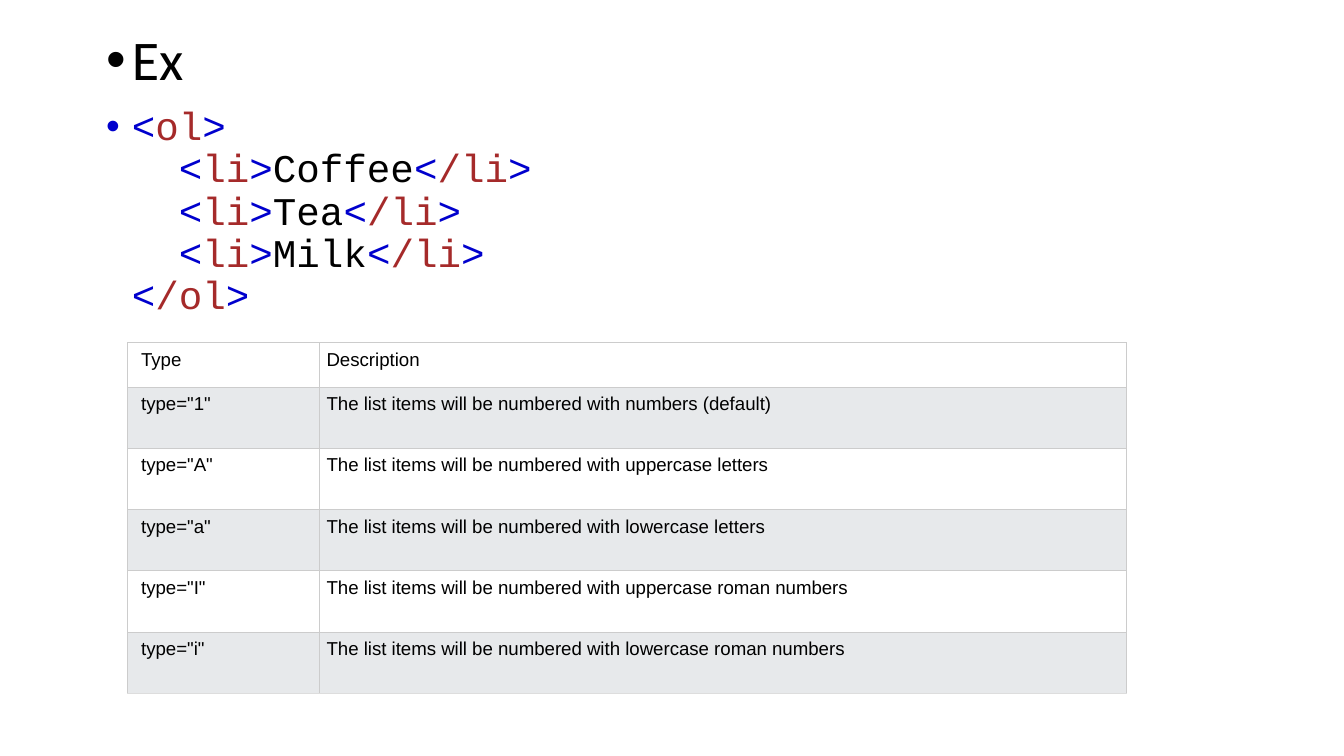
from lxml.etree import SubElement
from pptx import Presentation
from pptx.dml.color import RGBColor as RGB
from pptx.enum.text import MSO_AUTO_SIZE
from pptx.oxml.ns import qn
from pptx.util import Inches, Pt

BLACK, WHITE = RGB(0, 0, 0), RGB(255, 255, 255)
BLUE, BROWN = RGB(0x00, 0x00, 0xCD), RGB(0xA5, 0x2A, 0x2A)
BAND = RGB(0xE7, 0xE9, 0xEB)
RULE, END_RULE = RGB(0xCC, 0xCC, 0xCC), RGB(0xDD, 0xDD, 0xDD)

# Content: each code line is (indent, opening tag, text, closing tag)
HEADING = "Ex"
CODE = [
    ("", "ol", "", ""),
    ("  ", "li", "Coffee", "/li"),
    ("  ", "li", "Tea", "/li"),
    ("  ", "li", "Milk", "/li"),
    ("", "/ol", "", ""),
]
ITEMS = "The list items will be numbered with "
ROWS = [("Type", "Description")] + [
    (f'type="{kind}"', ITEMS + numbering)
    for kind, numbering in [
        ("1", "numbers (default)"),
        ("A", "uppercase letters"),
        ("a", "lowercase letters"),
        ("I", "uppercase roman numbers"),
        ("i", "lowercase roman numbers"),
    ]
]
COL_WIDTHS = (1.43, 6)
TABLE_HEIGHT, HEAD_HEIGHT = 2.61, 0.33


def format_bullet(p, font, size):
    p.font.name, p.font.size = font, Pt(size)
    p.line_spacing, p.space_before = 0.9, Pt(7.5)
    pPr = p._p.get_or_add_pPr()
    pPr.set("marL", str(Inches(0.19)))
    pPr.set("indent", str(-Inches(0.19)))


def add_run(p, text, color):
    if text:
        r = p.add_run()
        r.text = text
        r.font.color.rgb = color


def add_tag(p, name, indent=""):
    if name:
        for text, color in ((indent + "<", BLUE), (name, BROWN), (">", BLUE)):
            add_run(p, text, color)


def set_borders(cell, bottom):
    tcPr = cell._tc.get_or_add_tcPr()
    for side, color in zip("LRTB", (RULE, RULE, RULE, bottom)):
        ln = SubElement(tcPr, qn(f"a:ln{side}"), w=str(Pt(0.6)))
        fill = SubElement(ln, qn("a:solidFill"))
        SubElement(fill, qn("a:srgbClr"), val=str(color))


# Widescreen 16:9 slide
prs = Presentation()
prs.slide_width = Inches(10)
prs.slide_height = prs.slide_width * 9 // 16
s = prs.slides.add_slide(prs.slide_layouts[1])
title = s.shapes.title
title._element.getparent().remove(title._element)

# Heading and code in the body placeholder
body = s.placeholders[1]
body.left, body.top = Inches(0.69), Inches(0.19)
body.width, body.height = Inches(8.62), Inches(4.88)
tf = body.text_frame
tf.auto_size = MSO_AUTO_SIZE.NONE
p = tf.paragraphs[0]
format_bullet(p, "Calibri", 30)
add_run(p, HEADING, BLACK)

p = tf.add_paragraph()
format_bullet(p, "Courier New", 21)
for i, (indent, opening, text, closing) in enumerate(CODE):
    if i:
        p.add_line_break()
    add_tag(p, opening, indent)
    add_run(p, text, BLACK)
    add_tag(p, closing)

# Table of list types: a low header row, then equal rows
row_count = len(ROWS) - 1
heights = [HEAD_HEIGHT] + [(TABLE_HEIGHT - HEAD_HEIGHT) / row_count] * row_count
table = s.shapes.add_table(
    len(ROWS), len(COL_WIDTHS), Inches(0.95), Inches(2.55),
    Inches(sum(COL_WIDTHS)), Inches(TABLE_HEIGHT)).table
for column, width in zip(table.columns, COL_WIDTHS):
    column.width = Inches(width)
for i, (row, height) in enumerate(zip(ROWS, heights)):
    table.rows[i].height = Inches(height)
    for j, text in enumerate(row):
        cell = table.cell(i, j)
        cell.margin_left = Inches(0.05 if j else 0.1)
        cell.margin_right = cell.margin_top = cell.margin_bottom = Inches(0.05)
        set_borders(cell, END_RULE if i == row_count else RULE)
        cell.fill.solid()
        cell.fill.fore_color.rgb = BAND if i % 2 else WHITE
        cell.text = text
        font = cell.text_frame.paragraphs[0].font
        font.name, font.size, font.bold = "Arial", Pt(10), False
        font.color.rgb = BLACK

prs.save("out.pptx")
